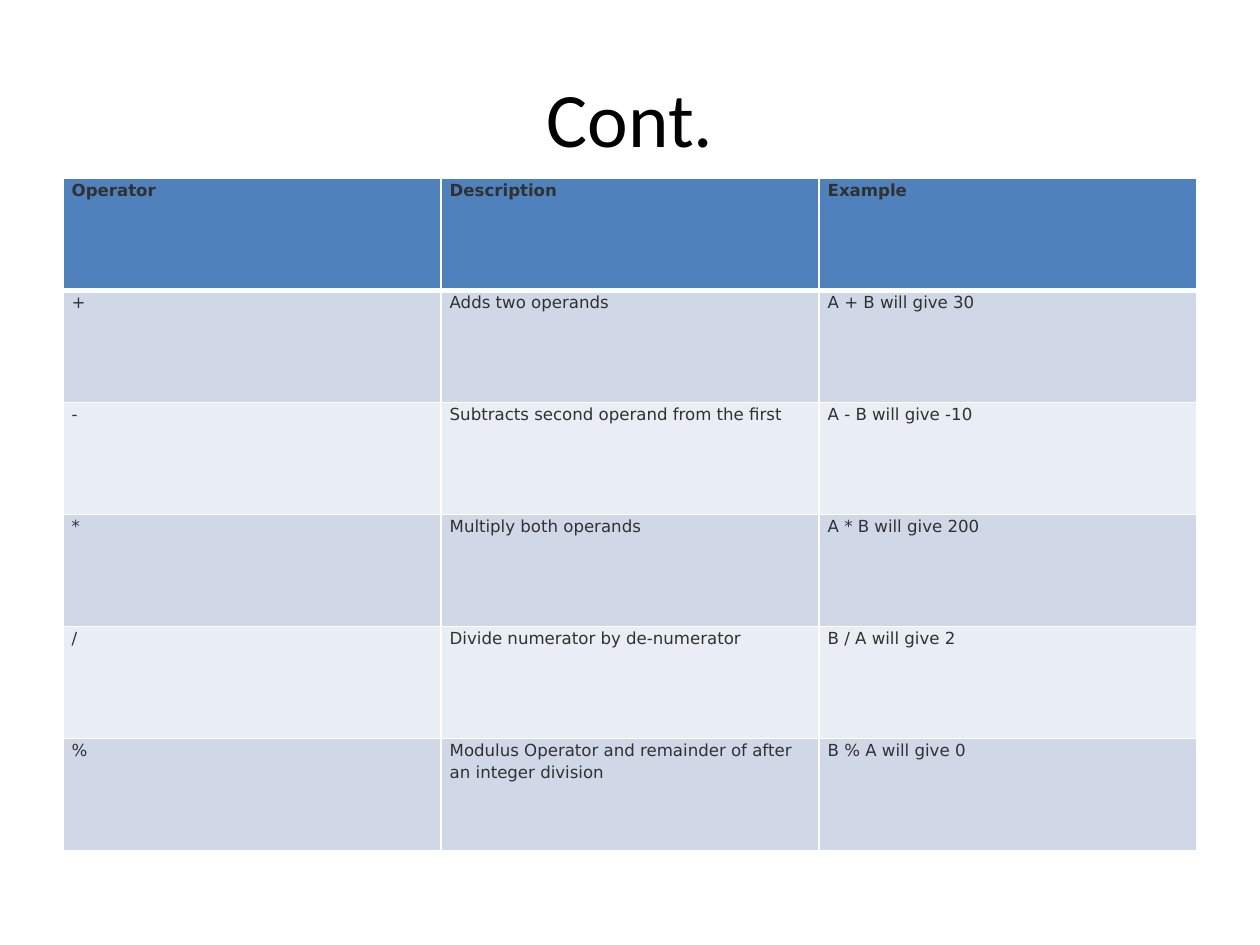
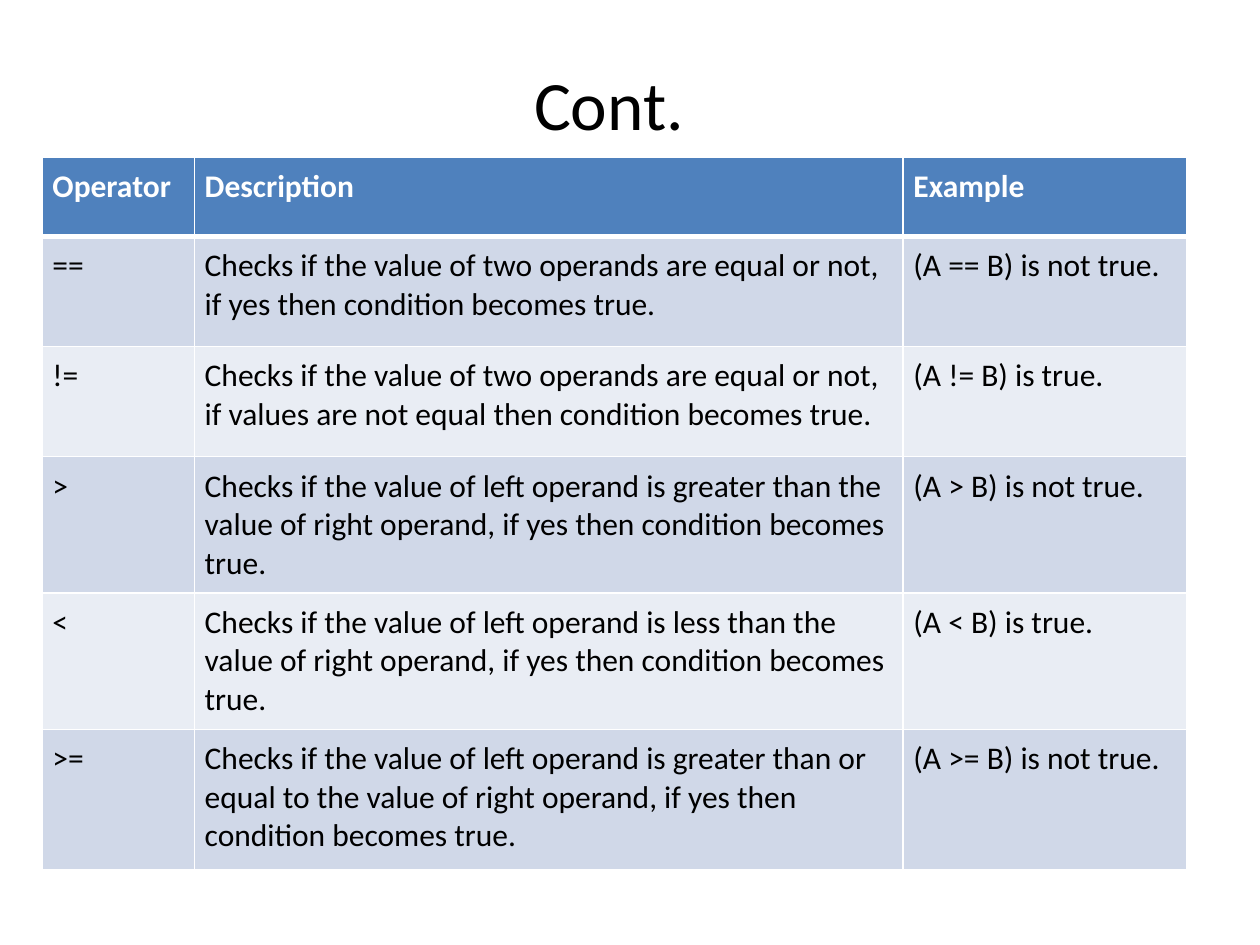
from dataclasses import dataclass
from typing import Optional

from lxml.etree import SubElement
from pptx import Presentation
from pptx.dml.color import RGBColor
from pptx.enum.text import MSO_ANCHOR, MSO_AUTO_SIZE, PP_ALIGN
from pptx.oxml.ns import qn
from pptx.util import Pt

BLACK = RGBColor(0x00, 0x00, 0x00)
WHITE = RGBColor(0xFF, 0xFF, 0xFF)
CHARCOAL = RGBColor(0x31, 0x31, 0x31)
HEADER_BLUE = RGBColor(0x4F, 0x81, 0xBD)
BANDS = (RGBColor(0xD0, 0xD8, 0xE8), RGBColor(0xE9, 0xED, 0xF4))

TITLE = "Cont."
HEADINGS = ("Operator", "Description", "Example")
THIN, THICK = 1, 3


@dataclass(frozen=True)
class TextStyle:
    font: str
    size: float
    header_color: RGBColor
    body_color: RGBColor
    margin_x: float
    margin_y: float
    line_spacing: Optional[float] = None
    space_after: Optional[float] = None


@dataclass(frozen=True)
class OperatorSlide:
    title_box: tuple[float, float, float, float]
    title_size: float
    table_origin: tuple[float, float]
    columns: tuple[float, ...]
    row_heights: tuple[float, ...]
    style: TextStyle
    operators: tuple[tuple[str, str, str], ...]


ARITHMETIC = OperatorSlide(
    title_box=(36, 21.6, 648, 90),
    title_size=44,
    table_origin=(36, 102),
    columns=(216,) * 3,
    row_heights=(64,) * 6,
    style=TextStyle("DejaVu Sans", 9.5, CHARCOAL, CHARCOAL, 5, 0, 1.15, 13.6),
    operators=(
        ("+", "Adds two operands", "A + B will give 30"),
        ("-", "Subtracts second operand from the first", "A - B will give -10"),
        ("*", "Multiply both operands", "A * B will give 200"),
        ("/", "Divide numerator by de-numerator", "B / A will give 2"),
        ("%", "Modulus Operator and remainder of after an integer division",
         "B % A will give 0"),
    ),
)

COMPARISON = OperatorSlide(
    title_box=(24, 36, 648, 45),
    title_size=39.6,
    table_origin=(24, 90),
    columns=(87, 405, 162),
    row_heights=(45, 63, 63, 70, 70, 80.5),
    style=TextStyle("Calibri", 18, WHITE, BLACK, 6, 6),
    operators=(
        ("==", "Checks if the value of two operands are equal or not, "
         "if yes then condition becomes true.", "(A == B) is not true."),
        ("!=", "Checks if the value of two operands are equal or not, "
         "if values are not equal then condition becomes true.", "(A != B) is true."),
        (">", "Checks if the value of left operand is greater than the value of "
         "right operand, if yes then condition becomes true.", "(A > B) is not true."),
        ("<", "Checks if the value of left operand is less than the value of "
         "right operand, if yes then condition becomes true.", "(A < B) is true."),
        (">=", "Checks if the value of left operand is greater than or equal to the "
         "value of right operand, if yes then condition becomes true.",
         "(A >= B) is not true."),
    ),
)


def write_text(frame, text: str, *, font: str, size: float, color: RGBColor,
               bold: bool = False, align=PP_ALIGN.LEFT,
               line_spacing: Optional[float] = None,
               space_after: Optional[float] = None) -> None:
    paragraph = frame.paragraphs[0]
    paragraph.alignment = align
    paragraph.line_spacing = line_spacing
    if space_after is not None:
        paragraph.space_after = Pt(space_after)
    run = paragraph.add_run()
    run.text = text
    run.font.name = font
    run.font.size = Pt(size)
    run.font.bold = bold
    run.font.color.rgb = color


def set_borders(cell, top: float, bottom: float) -> None:
    properties = cell._tc.get_or_add_tcPr()
    edges = (("a:lnL", THIN), ("a:lnR", THIN), ("a:lnT", top), ("a:lnB", bottom))
    # Border elements must come before the cell fill
    for position, (tag, width) in enumerate(edges):
        edge = SubElement(properties, qn(tag), w=str(Pt(width)))
        fill = SubElement(edge, qn("a:solidFill"))
        SubElement(fill, qn("a:srgbClr"), val=str(WHITE))
        properties.insert(position, edge)


def add_title(slide, content: OperatorSlide) -> None:
    title = slide.shapes.title
    title.left, title.top, title.width, title.height = map(Pt, content.title_box)
    frame = title.text_frame
    frame.auto_size = MSO_AUTO_SIZE.NONE
    frame.vertical_anchor = MSO_ANCHOR.MIDDLE
    write_text(frame, TITLE, font="Calibri", size=content.title_size,
               color=BLACK, align=PP_ALIGN.CENTER)


def format_cell(cell, text: str, row: int, style: TextStyle) -> None:
    is_header = row == 0
    cell.margin_left = cell.margin_right = Pt(style.margin_x)
    cell.margin_top = cell.margin_bottom = Pt(style.margin_y)
    cell.fill.solid()
    cell.fill.fore_color.rgb = HEADER_BLUE if is_header else BANDS[(row - 1) % 2]
    set_borders(cell, top=THICK if row == 1 else THIN,
                bottom=THICK if is_header else THIN)
    write_text(cell.text_frame, text, font=style.font, size=style.size,
               color=style.header_color if is_header else style.body_color,
               bold=is_header, line_spacing=style.line_spacing,
               space_after=style.space_after)


def add_operator_table(slide, content: OperatorSlide) -> None:
    rows = (HEADINGS, *content.operators)
    left, top = content.table_origin
    table = slide.shapes.add_table(
        len(rows), len(HEADINGS), Pt(left), Pt(top),
        Pt(sum(content.columns)), Pt(sum(content.row_heights))).table
    for column, width in zip(table.columns, content.columns):
        column.width = Pt(width)
    for row, (texts, height) in enumerate(zip(rows, content.row_heights)):
        table.rows[row].height = Pt(height)
        for column, text in enumerate(texts):
            format_cell(table.cell(row, column), text, row, content.style)


def main() -> None:
    deck = Presentation()
    deck.slide_width, deck.slide_height = Pt(720), Pt(540)
    title_only = deck.slide_layouts[5]
    for content in (ARITHMETIC, COMPARISON):
        slide = deck.slides.add_slide(title_only)
        add_title(slide, content)
        add_operator_table(slide, content)
    deck.save("out.pptx")


if __name__ == "__main__":
    main()
